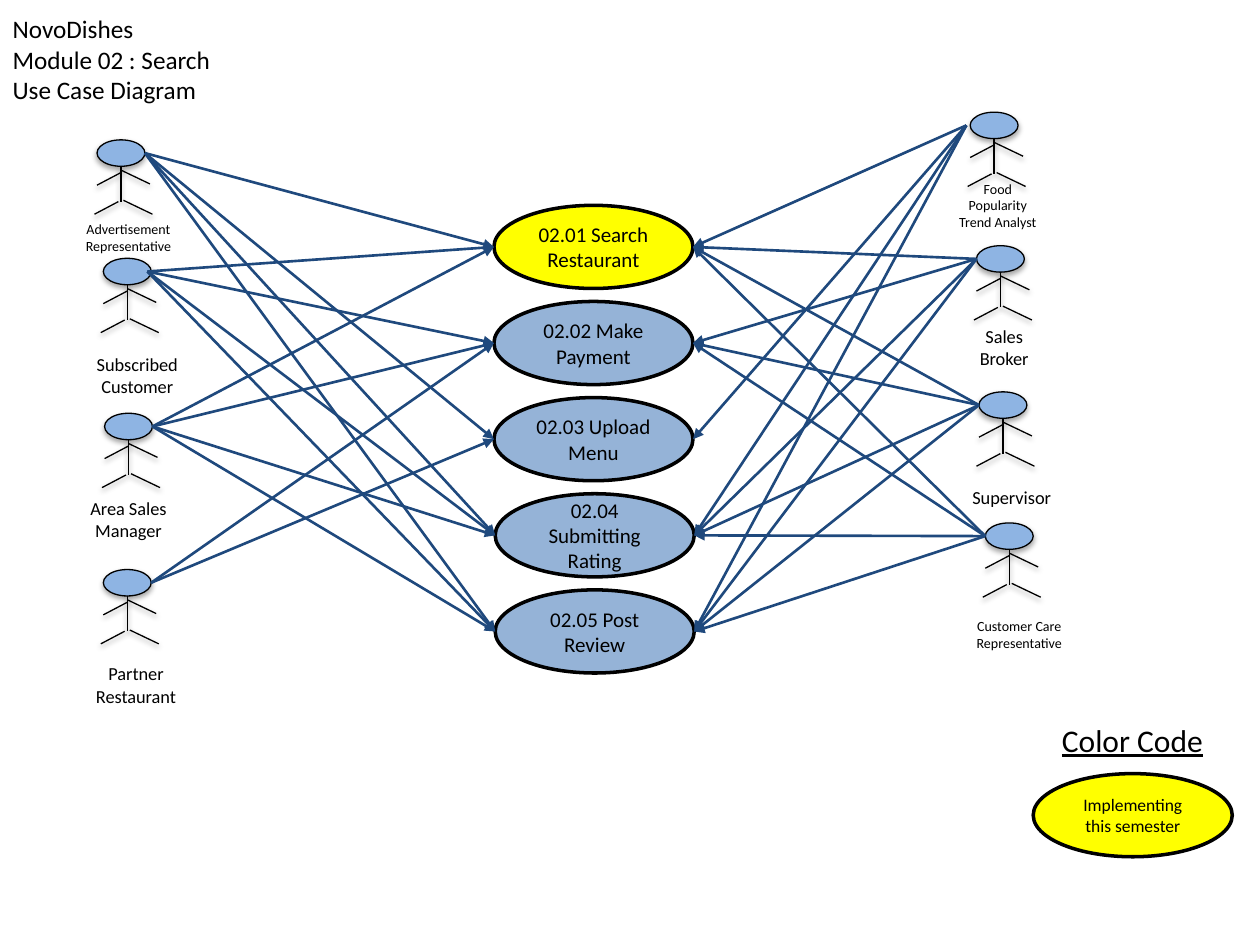
from dataclasses import dataclass

import lxml.etree
import pptx
import pptx.dml.color
import pptx.enum.shapes
import pptx.enum.text
import pptx.oxml.ns
import pptx.util

COLORS = {"black": "000000", "yellow": "FFFF00", "case": "95B3D7",
          "head": "8EB4E3", "arrow": "1F497D"}
FONT = "Calibri"
COLUMNS, ROWS = 100, 75
CENTER = pptx.enum.text.PP_ALIGN.CENTER
MIDDLE = pptx.enum.text.MSO_ANCHOR.MIDDLE
AUTO_SIZE = pptx.enum.text.MSO_AUTO_SIZE
OVAL = pptx.enum.shapes.MSO_SHAPE.OVAL
STRAIGHT = pptx.enum.shapes.MSO_CONNECTOR.STRAIGHT

# Sizes in grid columns and rows
CASE_WIDTH, CASE_HEIGHT, CASE_PITCH = 15.8, 6.6, 7.63
CASE_LEFT, CASE_TOP = 39.2, 16.3
HEAD_WIDTH, HEAD_HEIGHT, LABEL_WIDTH = 3.8, 2.1, 9

# Limbs, measured from the top left of the head
LIMBS = [
    (1.9, 2.1, 1.9, 4.9),
    (1.9, 2.6, 0, 3.6),
    (1.7, 4.9, -0.2, 5.9),
    (1.9, 2.4, 4.2, 3.5),
    (2.1, 4.8, 4.4, 5.9),
]


@dataclass
class UseCase:
    label: str
    fill: str = "case"
    shift: float = 0


@dataclass
class Actor:
    label: str
    column: float
    row: float
    label_column: float
    label_row: float
    targets: tuple[int, ...]
    label_height: float = 4.5
    size: float = 10.5
    start_shift: float = 0


USE_CASES = [
    UseCase("02.01 Search Restaurant", "yellow"),
    UseCase("02.02 Make Payment"),
    UseCase("02.03 Upload Menu"),
    UseCase("02.04 Submitting Rating", shift=0.1),
    UseCase("02.05 Post Review", shift=0.1),
]
MOST = (0, 1, 3, 4)
NO_PAYMENT = (0, 2, 3, 4)
ACTORS = [
    Actor("Advertisement Representative", 7.7, 11.1, 5.7, 17, NO_PAYMENT, 3.7, 8),
    Actor("Subscribed Customer", 8.2, 20.5, 6.4, 27.5, MOST, start_shift=-0.3),
    Actor("Area Sales Manager", 8.3, 32.8, 5.7, 39, MOST),
    Actor("Partner Restaurant", 8.2, 45.2, 6.3, 52.1, (1, 2)),
    Actor("Food Popularity Trend Analyst", 77, 8.9, 74.7, 13.8, NO_PAYMENT, 5, 8, -0.3),
    Actor("Sales Broker", 77.5, 19.5, 75.2, 25.3, MOST),
    Actor("Supervisor", 77.7, 31.1, 75.8, 38.1, MOST, 2.8),
    Actor("Customer Care Representative", 78.2, 41.5, 76.4, 48.5, MOST, 3.7, 8),
]

presentation = pptx.Presentation()
presentation.slide_width = pptx.util.Inches(10)
presentation.slide_height = pptx.util.Inches(7.5)
slide = presentation.slides.add_slide(presentation.slide_layouts[5])


def grid(*lengths: float) -> list[int]:
    """Turn alternating columns and rows into slide lengths."""
    units = (presentation.slide_width / COLUMNS, presentation.slide_height / ROWS)
    return [round(length * units[index % 2]) for index, length in enumerate(lengths)]


def rgb(name: str) -> pptx.dml.color.RGBColor:
    return pptx.dml.color.RGBColor.from_string(COLORS[name])


def add_element(parent, tag: str, **attributes: str):
    return lxml.etree.SubElement(parent, pptx.oxml.ns.qn(tag), attributes)


def set_effects(shape, shadow_alpha: int = 0) -> None:
    effects = add_element(shape._element.spPr, "a:effectLst")
    if shadow_alpha:
        shadow = add_element(effects, "a:outerShdw", blurRad="39370", dist="21590",
                             dir="5400000", rotWithShape="0")
        color = add_element(shadow, "a:srgbClr", val=COLORS["black"])
        add_element(color, "a:alpha", val=str(shadow_alpha * 1000))


def set_text(shape, text: str, size: float, alignment=CENTER, frame_format=None,
             underline: bool = False) -> None:
    frame = shape.text_frame
    for name, value in ({"word_wrap": True} | (frame_format or {})).items():
        setattr(frame, name, value)
    paragraph = frame.paragraphs[0]
    paragraph.text = text
    paragraph.alignment = alignment
    font_format = {"name": FONT, "size": pptx.util.Pt(size), "underline": underline}
    for run in paragraph.runs:
        for name, value in font_format.items():
            setattr(run.font, name, value)
        run.font.color.rgb = rgb("black")


def add_oval(shapes, box: tuple, fill: str, width: float, shadow_alpha: int = 0):
    oval = shapes.add_shape(OVAL, *grid(*box))
    oval.fill.solid()
    oval.fill.fore_color.rgb = rgb(fill)
    oval.line.color.rgb = rgb("black")
    oval.line.width = pptx.util.Pt(width)
    set_effects(oval, shadow_alpha)
    return oval


def add_line(shapes, ends: tuple, color: str, width: float, shadow_alpha: int = 0):
    line = shapes.add_connector(STRAIGHT, *grid(*ends))
    line.line.color.rgb = rgb(color)
    line.line.width = pptx.util.Pt(width)
    set_effects(line, shadow_alpha)
    return line


def add_case(left: float, top: float, label: str, fill: str, size: float) -> None:
    oval = add_oval(slide.shapes, (left, top, CASE_WIDTH, CASE_HEIGHT), fill, 2)
    set_text(oval, label, size, frame_format={"vertical_anchor": MIDDLE})


def add_actor(actor: Actor) -> None:
    shapes = slide.shapes.add_group_shape().shapes
    add_oval(shapes, (actor.column, actor.row, HEAD_WIDTH, HEAD_HEIGHT), "head", 0.75, 35)
    for x1, y1, x2, y2 in LIMBS:
        add_line(shapes, (actor.column + x1, actor.row + y1,
                          actor.column + x2, actor.row + y2), "black", 0.75, 38)
    label = shapes.add_textbox(*grid(actor.label_column, actor.label_row,
                                     LABEL_WIDTH, actor.label_height))
    set_text(label, actor.label, actor.size,
             frame_format={"auto_size": AUTO_SIZE.SHAPE_TO_FIT_TEXT})


def add_arrows(actor: Actor) -> None:
    on_left = actor.column < COLUMNS / 2
    start = actor.column + actor.start_shift + (HEAD_WIDTH if on_left else 0)
    for index in actor.targets:
        end = CASE_LEFT + USE_CASES[index].shift + (0 if on_left else CASE_WIDTH)
        middle = CASE_TOP + index * CASE_PITCH + CASE_HEIGHT / 2
        arrow = add_line(slide.shapes, (start, actor.row + HEAD_HEIGHT / 2, end, middle),
                         "arrow", 1.5)
        add_element(arrow.line._get_or_add_ln(), "a:tailEnd", type="triangle")


# Title
title = slide.shapes.title
title_box = grid(0, 3.1, 43.3, 5.8)
for name, value in zip(("left", "top", "width", "height"), title_box):
    setattr(title, name, value)
set_text(title, "NovoDishes\vModule 02 : Search\vUse Case Diagram", 14.4,
         pptx.enum.text.PP_ALIGN.LEFT,
         {"auto_size": AUTO_SIZE.NONE, "vertical_anchor": MIDDLE,
          "margin_bottom": pptx.util.Inches(0.31)})

# Use cases
for index, case in enumerate(USE_CASES):
    add_case(CASE_LEFT + case.shift, CASE_TOP + index * CASE_PITCH, case.label, case.fill, 12)

# Actors and their arrows
for actor in ACTORS:
    add_actor(actor)
for actor in ACTORS:
    add_arrows(actor)

# Color legend
heading = slide.shapes.add_textbox(*grid(83.3, 56.7, 13.3, 4))
set_text(heading, "Color Code", 18, pptx.enum.text.PP_ALIGN.LEFT,
         {"word_wrap": False, "auto_size": AUTO_SIZE.SHAPE_TO_FIT_TEXT}, underline=True)
add_case(82, 61.4, "Implementing this semester", "yellow", 10)

presentation.save("out.pptx")
